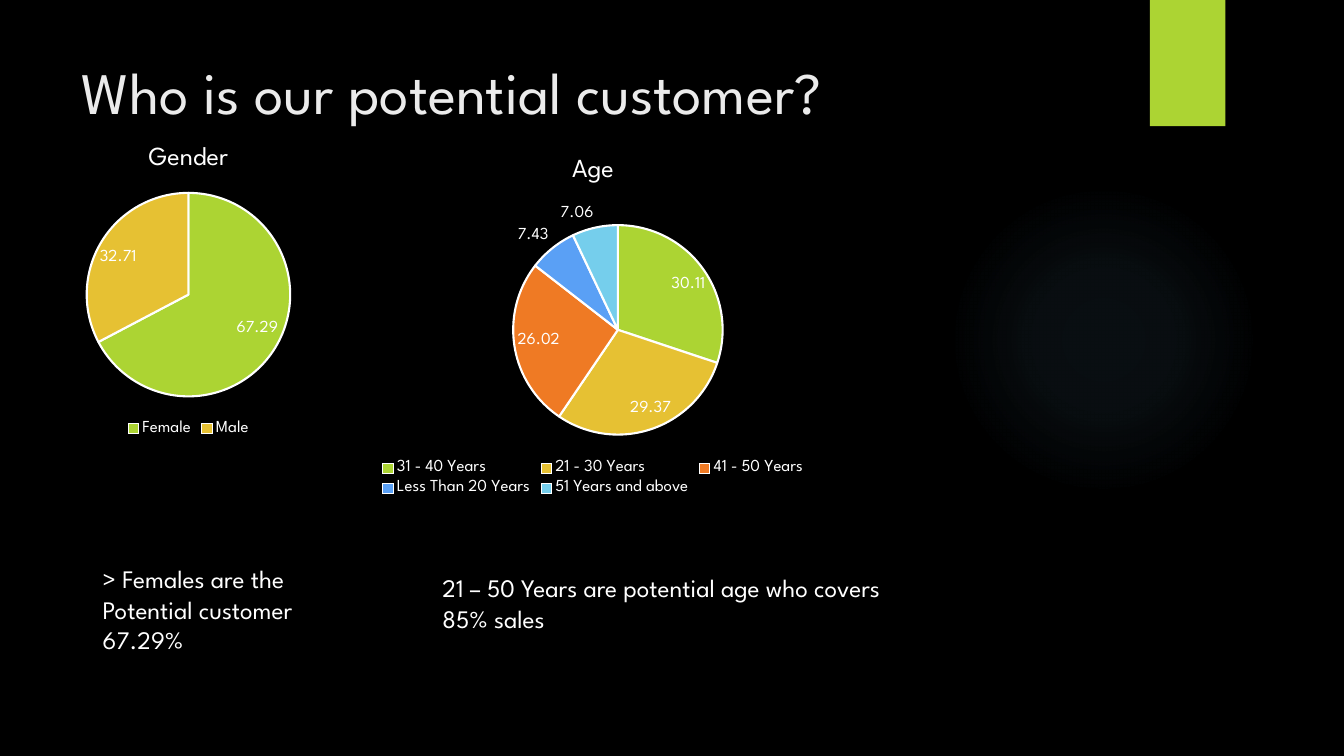
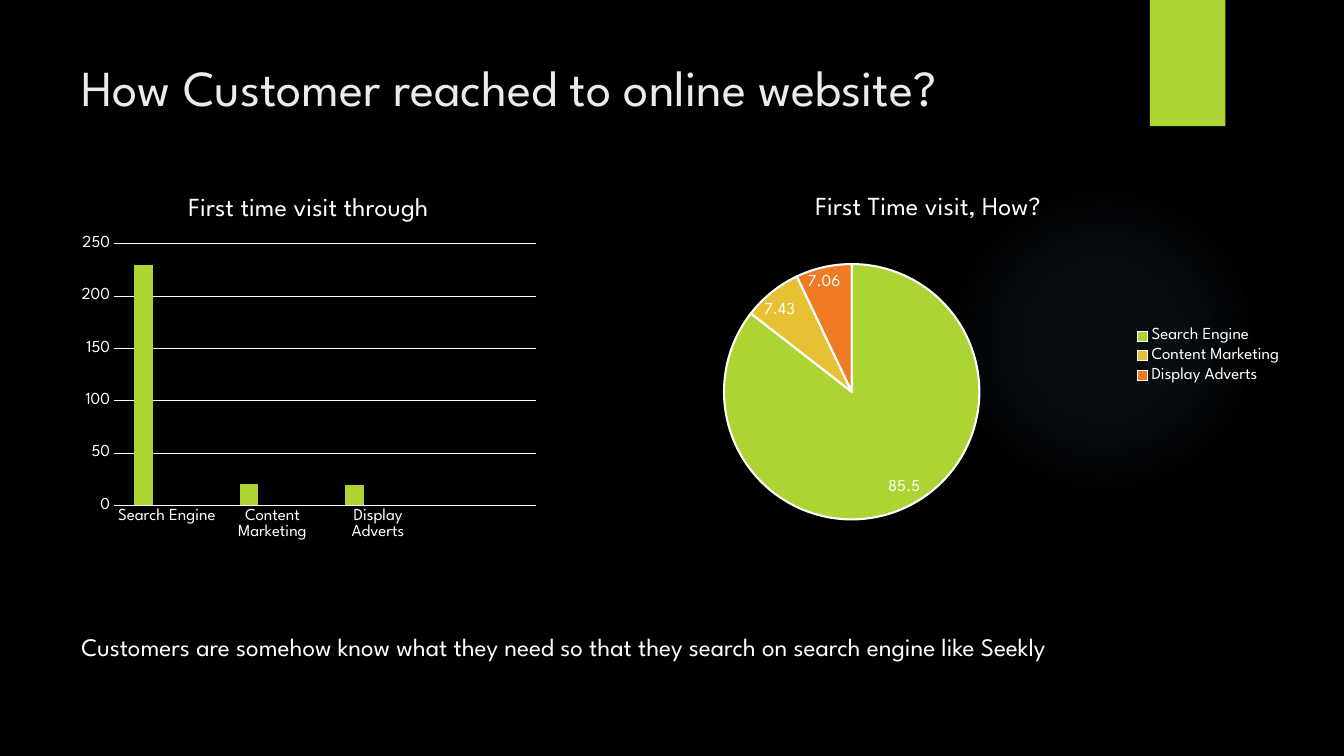
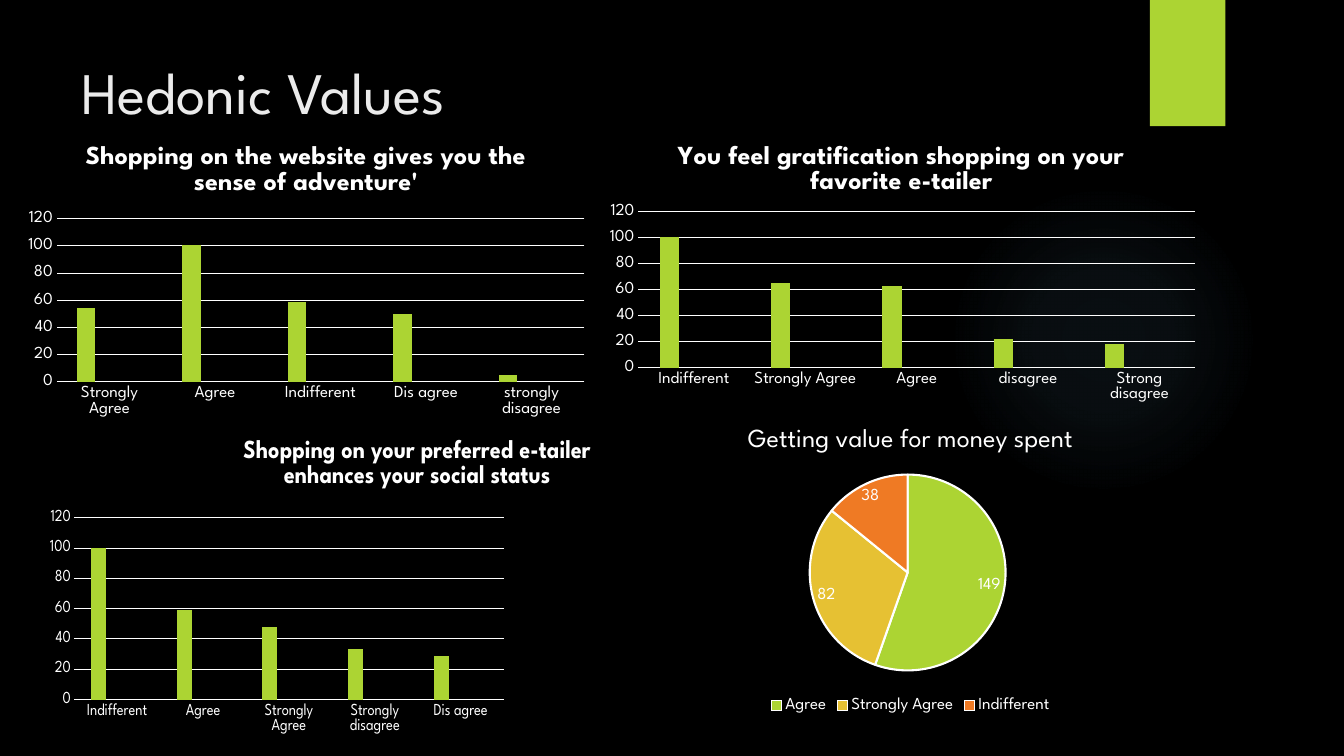
from dataclasses import dataclass

from pptx import Presentation
from pptx.chart.data import CategoryChartData
from pptx.dml.color import RGBColor
from pptx.enum.chart import (XL_CHART_TYPE, XL_LABEL_POSITION,
                             XL_LEGEND_POSITION, XL_TICK_MARK)
from pptx.enum.shapes import MSO_SHAPE
from pptx.enum.text import MSO_ANCHOR, PP_ALIGN
from pptx.oxml import parse_xml
from pptx.oxml.ns import qn
from pptx.util import Cm, Pt

PIE, COLUMN = XL_CHART_TYPE.PIE, XL_CHART_TYPE.COLUMN_CLUSTERED
BEST_FIT = XL_LABEL_POSITION.BEST_FIT
BOTTOM, RIGHT = XL_LEGEND_POSITION.BOTTOM, XL_LEGEND_POSITION.RIGHT
NO_TICK = XL_TICK_MARK.NONE
RECTANGLE, OVAL = MSO_SHAPE.RECTANGLE, MSO_SHAPE.OVAL
TOP, LEFT = MSO_ANCHOR.TOP, PP_ALIGN.LEFT
TITLE_ONLY = 5
DRAWING_NS = "http://schemas.openxmlformats.org/drawingml/2006/main"
CHART_NS = "http://schemas.openxmlformats.org/drawingml/2006/chart"


@dataclass(frozen=True)
class Theme:
    font: str = "League Spartan"
    background: str = "000000"
    title_color: str = "EBEBEB"
    text: str = "FFFFFF"
    glow: str = "7AC4F0"
    accents: tuple = ("ACD433", "E6C133", "EF7A24", "5AA0F5", "75CEEC")
    title_size: float = 42
    long_title_size: float = 36
    body_size: float = 18
    chart_title_size: float = 18.6
    label_size: float = 12
    line_spacing: float = 1.21
    grid_width: float = 0.75
    slice_border: float = 1.5


THEME = Theme()


@dataclass(frozen=True)
class Box:
    """A region in centimetres."""
    left: float
    top: float
    width: float
    height: float

    def lengths(self):
        return Cm(self.left), Cm(self.top), Cm(self.width), Cm(self.height)


def rgb(color):
    return RGBColor.from_string(color)


def style_font(font, size, color=THEME.text, bold=False):
    font.name, font.size, font.bold = THEME.font, Pt(size), bold
    font.color.rgb = rgb(color)


def write_lines(frame, lines, size, color=THEME.text):
    frame.text = "\n".join(lines)
    frame.word_wrap = True
    frame.vertical_anchor = TOP
    for paragraph in frame.paragraphs:
        paragraph.alignment = LEFT
        paragraph.line_spacing = Pt(size * THEME.line_spacing)
        style_font(paragraph.font, size, color)


def glow_gradient():
    stops = "".join(
        f'<a:gs pos="{position}000"><a:srgbClr val="{THEME.glow}">'
        f'<a:alpha val="{alpha}000"/></a:srgbClr></a:gs>'
        for position, alpha in ((0, 7), (36, 6), (69, 0)))
    return parse_xml(
        f'<a:gradFill xmlns:a="{DRAWING_NS}" rotWithShape="1">'
        f'<a:gsLst>{stops}</a:gsLst><a:path path="circle">'
        '<a:fillToRect l="50000" t="50000" r="50000" b="50000"/>'
        '</a:path></a:gradFill>')


def decorate_master(master, slide):
    """Draw the glow and the band on a slide, then move them to the master."""
    master.background.fill.solid()
    master.background.fill.fore_color.rgb = rgb(THEME.background)
    glow = slide.shapes.add_shape(OVAL, *Box(23.9, 4.65, 7.82, 7.82).lengths())
    glow.fill.background()
    no_fill = glow._element.spPr.find(qn("a:noFill"))
    glow._element.spPr.replace(no_fill, glow_gradient())
    band = slide.shapes.add_shape(RECTANGLE, *Box(28.98, 0, 1.9, 3.18).lengths())
    band.fill.solid()
    band.fill.fore_color.rgb = rgb(THEME.accents[0])
    for position, decoration in enumerate((glow, band), start=2):
        decoration.line.fill.background()
        decoration.shadow.inherit = False
        master.shapes._spTree.insert(position, decoration._element)


def add_titled_slide(prs, title, size=THEME.title_size):
    slide = prs.slides.add_slide(prs.slide_layouts[TITLE_ONLY])
    heading = slide.shapes.title
    heading.left, heading.top, heading.width, heading.height = Box(
        1.8, 1.27, 26.6, 3.89).lengths()
    write_lines(heading.text_frame, [title], size, THEME.title_color)
    return slide


def add_note(slide, box, lines):
    note = slide.shapes.add_textbox(*box.lengths())
    write_lines(note.text_frame, lines, THEME.body_size)


def set_layout(parent, position, target="", **fractions):
    """Place a chart part by fractions of the chart's own box."""
    old = parent.find(qn("c:layout"))
    if old is not None:
        parent.remove(old)
    modes = "".join(f'<c:{axis}Mode val="edge"/>' for axis in "xy")
    values = "".join(f'<c:{key} val="{value}"/>'
                     for key, value in fractions.items())
    parent.insert(position, parse_xml(
        f'<c:layout xmlns:c="{CHART_NS}"><c:manualLayout>'
        f'{target}{modes}{values}</c:manualLayout></c:layout>'))


def add_titled_chart(slide, kind, box, plot, title, categories, series,
                     bold=False):
    """Add a chart; plot is x, y, w, h of its plot area as fractions of box."""
    data = CategoryChartData()
    data.categories = categories
    for name, values in series:
        data.add_series(name, values)
    chart = slide.shapes.add_chart(kind, *box.lengths(), data).chart
    style_font(chart.font, THEME.label_size)
    chart.has_title = True
    chart.chart_title.include_in_layout = False
    chart.chart_title.text_frame.text = title
    style_font(chart.chart_title.text_frame.paragraphs[0].font,
               THEME.chart_title_size, bold=bold)
    set_layout(chart._chartSpace.chart.plotArea, 0,
               '<c:layoutTarget val="inner"/>', **dict(zip("xywh", plot)))
    return chart


def add_pie(slide, box, plot, title, shares, legend_side=BOTTOM):
    chart = add_titled_chart(slide, PIE, box, plot, title, list(shares),
                             [(title, list(shares.values()))])
    chart.has_legend = True
    chart.legend.position = legend_side
    chart.legend.include_in_layout = False
    style_font(chart.legend.font, THEME.label_size)
    pie = chart.plots[0]
    pie.vary_by_categories = True
    for index, color in enumerate(THEME.accents[:len(shares)]):
        piece = pie.series[0].points[index].format
        piece.fill.solid()
        piece.fill.fore_color.rgb = rgb(color)
        piece.line.color.rgb = rgb(THEME.text)
        piece.line.width = Pt(THEME.slice_border)
    pie.has_data_labels = True
    labels = pie.data_labels
    labels.show_value, labels.show_percentage = True, False
    labels.position = BEST_FIT
    style_font(labels.font, THEME.label_size)


def add_columns(slide, box, plot, title, counts, bold=False):
    """Add columns whose second and third series stay empty."""
    blank = [None] * len(counts)
    series = [("Series 1", list(counts.values())),
              ("Series 2", blank), ("Series 3", blank)]
    chart = add_titled_chart(slide, COLUMN, box, plot, title, list(counts),
                             series, bold)
    chart.has_legend = False
    columns = chart.plots[0]
    columns.vary_by_categories = False
    columns.gap_width, columns.overlap = 219, -27
    for entry, color in zip(columns.series, THEME.accents):
        entry.format.fill.solid()
        entry.format.fill.fore_color.rgb = rgb(color)
    for axis in (chart.category_axis, chart.value_axis):
        axis.major_tick_mark = axis.minor_tick_mark = NO_TICK
        style_font(axis.tick_labels.font, THEME.label_size)
    chart.value_axis.has_major_gridlines = True
    chart.value_axis.format.line.fill.background()
    for line in (chart.category_axis.format.line,
                 chart.value_axis.major_gridlines.format.line):
        line.color.rgb = rgb(THEME.text)
        line.width = Pt(THEME.grid_width)
    return chart


def build_customer_slide(prs):
    slide = add_titled_slide(prs, "Who is our potential customer?")
    add_pie(slide, Box(0, 3.2, 9.5, 7.9), (0.23, 0.21, 0.54, 0.65), "Gender",
            {"Female": 67.29, "Male": 32.71})
    add_pie(slide, Box(8.66, 3.48, 12.57, 9.12), (0.34, 0.24, 0.42, 0.58), "Age",
            {"31 - 40 Years": 30.11, "21 - 30 Years": 29.37,
             "41 - 50 Years": 26.02, "Less Than 20 Years": 7.43,
             "51 Years and above": 7.06})
    add_note(slide, Box(2.34, 14.07, 6.32, 2.57),
             ["> Females are the", "Potential customer", "67.29%"])
    add_note(slide, Box(10.9, 14.3, 13.87, 1.8),
             ["21 – 50 Years are potential age who covers", "85% sales"])
    return slide


def build_reach_slide(prs):
    slide = add_titled_slide(prs, "How Customer reached to online website?",
                             THEME.long_title_size)
    add_columns(slide, Box(1.8, 4.45, 11.96, 9.42), (0.09, 0.18, 0.89, 0.7),
                "First time visit through",
                {"Search Engine": 230, "Content Marketing": 20,
                 "Display Adverts": 19, "": None})
    add_pie(slide, Box(14.2, 4.45, 18.39, 9.04), (0.22, 0.24, 0.35, 0.72),
            "First Time visit, How?",
            {"Search Engine": 85.5, "Content Marketing": 7.43,
             "Display Adverts": 7.06}, RIGHT)
    add_note(slide, Box(1.8, 15.77, 30.5, 1.02),
             ["Customers are somehow know what they need so that they "
              "search on search engine like Seekly"])


def build_hedonic_slide(prs):
    slide = add_titled_slide(prs, "Hedonic Values")
    add_columns(slide, Box(0.41, 3.2, 14.61, 7.47), (0.07, 0.31, 0.91, 0.55),
                "Shopping on the website gives you the sense of adventure'",
                {"Strongly Agree": 54, "Agree": 101, "Indifferent": 59,
                 "Dis agree": 50, "strongly disagree": 5}, bold=True)
    add_columns(slide, Box(15.01, 3.2, 15.42, 7.14), (0.07, 0.3, 0.91, 0.55),
                "You feel gratification shopping on your favorite e-tailer",
                {"Indifferent": 101, "Strongly Agree": 65, "Agree": 63,
                 "disagree": 22, "Strong disagree": 18}, bold=True)
    status = add_columns(
        slide, Box(1.04, 10.87, 13.97, 7.77), (0.07, 0.28, 0.91, 0.59),
        "Shopping on your preferred e-tailer enhances your social status",
        {"Indifferent": 100, "Agree": 59, "Strongly Agree": 48,
         "Strongly disagree": 33, "Dis agree": 29}, bold=True)
    set_layout(status.chart_title._element, 1, x=0.42, y=0)
    add_pie(slide, Box(15.47, 10.31, 14.96, 7.77), (0.33, 0.21, 0.33, 0.64),
            "Getting value for money spent",
            {"Agree": 149, "Strongly Agree": 82, "Indifferent": 38})


def main():
    prs = Presentation()
    prs.slide_width, prs.slide_height = Cm(33.87), Cm(19.05)
    customer_slide = build_customer_slide(prs)
    decorate_master(prs.slide_master, customer_slide)
    build_reach_slide(prs)
    build_hedonic_slide(prs)
    prs.save("out.pptx")


if __name__ == "__main__":
    main()
